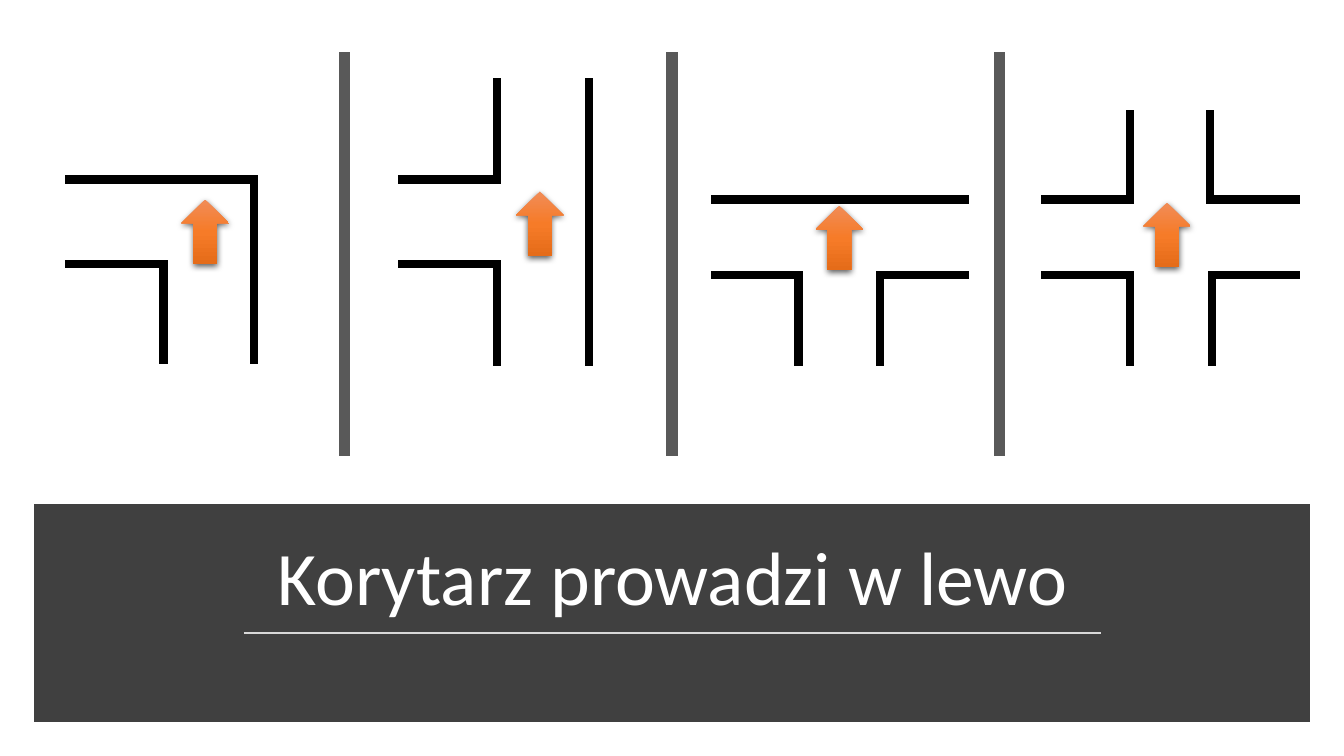
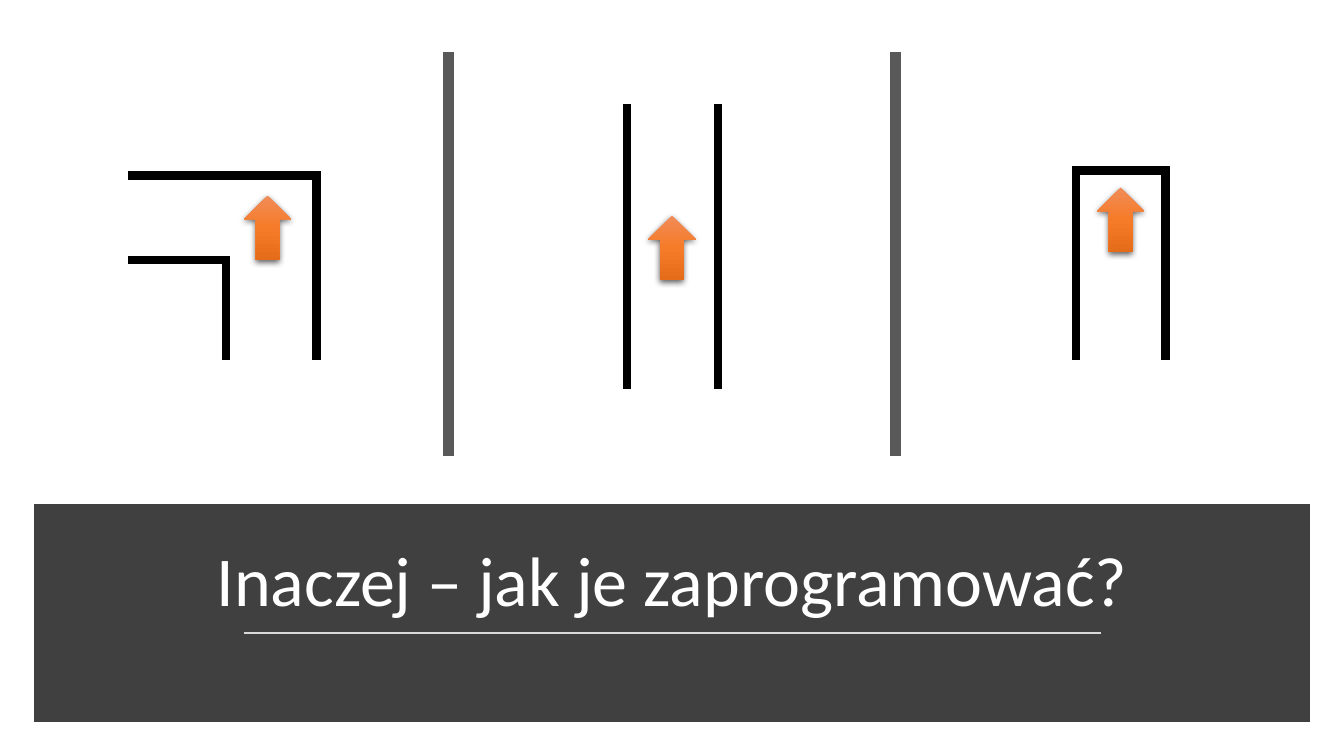
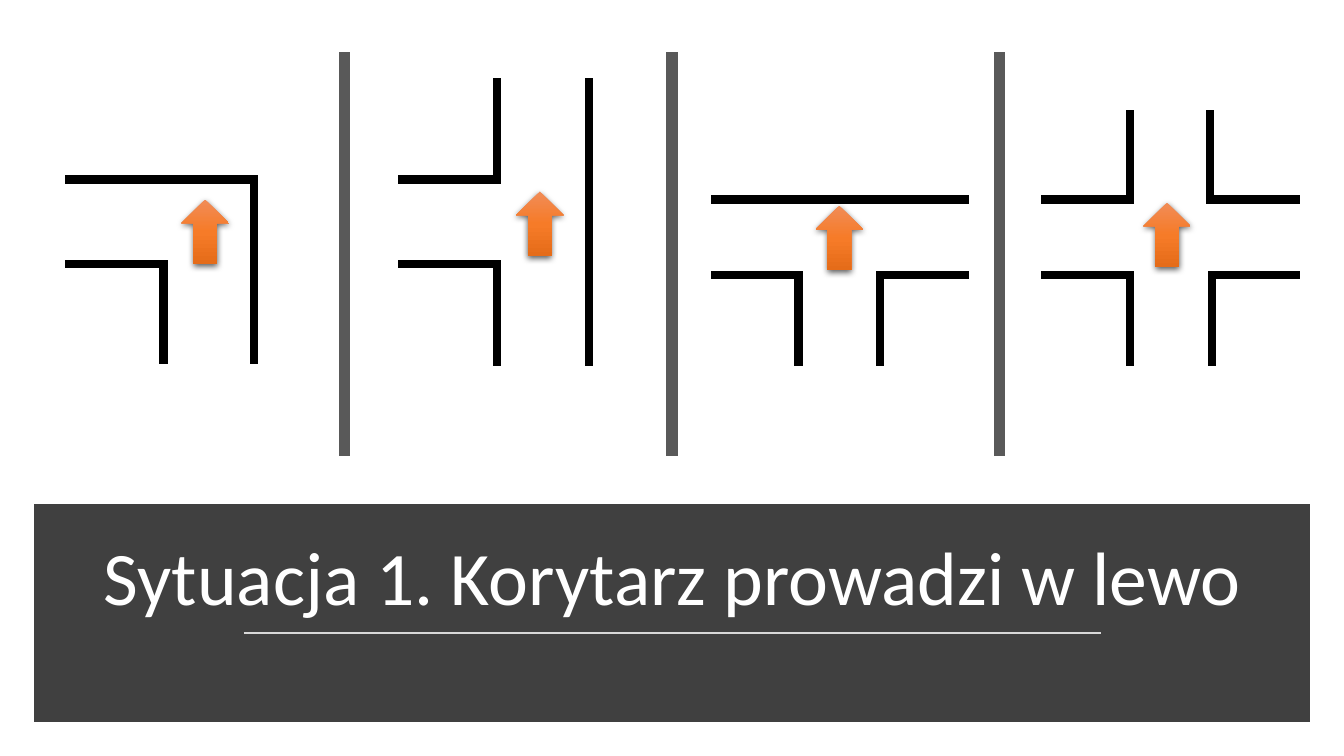
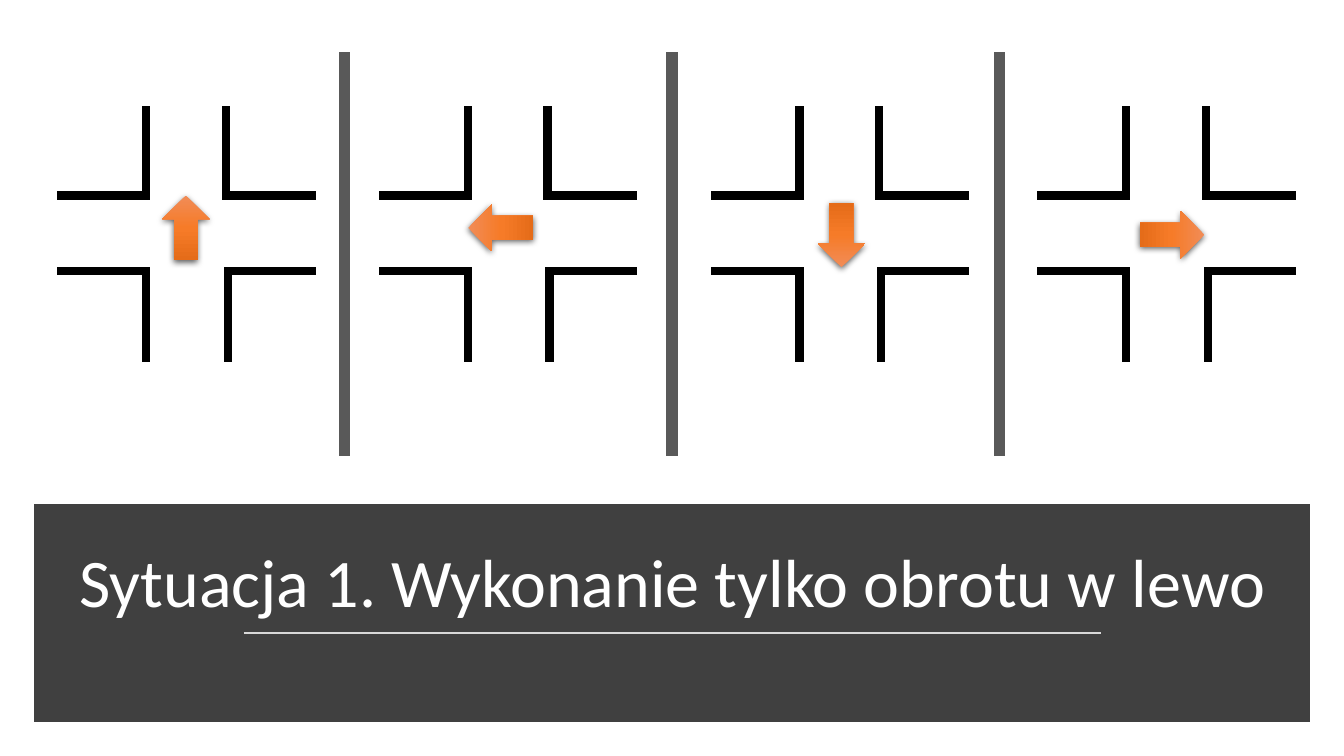
from dataclasses import dataclass
from itertools import pairwise

from pptx import Presentation
from pptx.dml.color import RGBColor
from pptx.enum import shapes, text
from pptx.oxml import parse_xml
from pptx.oxml.ns import nsdecls, qn
from pptx.util import Inches, Pt


@dataclass(frozen=True)
class Theme:
    font: str = "Calibri"
    band: str = "404040"
    rule: str = "D9D9D9"
    divider: str = "595959"
    wall: str = "000000"
    title: str = "FFFFFF"
    arrow: tuple = ((0, "F18C57"), (50, "F67B28"), (100, "E56C19"))
    band_edge: float = 10
    rule_width: float = 1.75
    divider_width: float = 8
    wall_width: float = 6
    title_large: float = 54
    title_medium: float = 50
    title_small: float = 48.6


THEME = Theme()
SLIDE_WIDTH, SLIDE_HEIGHT = 13.33, 7.5
BAND = (0.41, 5.07, 12.51, 2.02)
TITLE_BOX = (0.58, 5.2, 12.18, 1.02)
RULE = ((2.42, 6.28), (10.92, 6.28))
DIVIDER_TOP, DIVIDER_BOTTOM = 0.52, 4.52
PANEL_GAP = {3: 4.44, 4: 3.25}
ARROW_SIZE = (0.47, 0.64)
UP, RIGHT, DOWN, LEFT = 0, 90, 180, 270

JUNCTIONS = {
    "corner": [
        [(1.83, 1.79), (1.83, 0), (0, 0)],
        [(0.93, 1.79), (0.93, 0.84), (0, 0.84)],
    ],
    "left branch": [
        [(1.85, 2.77), (1.85, 0)],
        [(0.94, 0), (0.94, 0.96), (0, 0.96)],
        [(0.94, 2.77), (0.94, 1.8), (0, 1.8)],
    ],
    "fork": [
        [(2.48, 0), (0, 0)],
        [(0.83, 1.61), (0.83, 0.75), (0, 0.75)],
        [(1.64, 1.61), (1.64, 0.75), (2.48, 0.75)],
    ],
    "crossing": [
        [(0.84, 0), (0.84, 0.85), (0, 0.85)],
        [(1.63, 0), (1.63, 0.85), (2.48, 0.85)],
        [(0.84, 2.46), (0.84, 1.6), (0, 1.6)],
        [(1.65, 2.46), (1.65, 1.6), (2.48, 1.6)],
    ],
    "straight": [
        [(0, 2.75), (0, 0)],
        [(0.9, 2.75), (0.9, 0)],
    ],
    "dead end": [
        [(0, 1.84), (0, 0), (0.89, 0), (0.89, 1.84)],
    ],
}

LEFT_WAYS = [
    ("corner", (0.69, 1.78), (1.8, 1.98), UP),
    ("left branch", (3.99, 0.82), (5.12, 1.9), UP),
    ("fork", (7.09, 1.98), (8.09, 2.04), UP),
    ("crossing", (10.37, 1.13), (11.34, 2.01), UP),
]
OTHER_WAYS = [
    ("corner", (1.31, 1.74), (2.42, 1.94), UP),
    ("straight", (6.22, 1.07), (6.43, 2.14), UP),
    ("dead end", (10.67, 1.69), (10.88, 1.86), UP),
]
TURNS = [
    ("crossing", (0.61, 1.09), (1.61, 1.94), UP),
    ("crossing", (3.8, 1.09), (4.73, 1.94), LEFT),
    ("crossing", (7.09, 1.09), (8.11, 2.01), DOWN),
    ("crossing", (10.33, 1.09), (11.39, 2.01), RIGHT),
]
SLIDES = [
    ("Korytarz prowadzi w lewo", THEME.title_large, LEFT_WAYS),
    ("Inaczej – jak je zaprogramować?", THEME.title_medium, OTHER_WAYS),
    ("Sytuacja 1. Korytarz prowadzi w lewo", THEME.title_large, LEFT_WAYS),
    ("Sytuacja 1. Wykonanie tylko obrotu w lewo", THEME.title_small, TURNS),
]


def inches(values):
    return [Inches(value) for value in values]


def set_line(part, color, width):
    part.line.color.rgb = RGBColor.from_string(color)
    part.line.width = Pt(width)
    return part.element.spPr.find(qn("a:ln"))


def add_line(parent, start, end, color, width, cap="flat"):
    line = parent.add_connector(shapes.MSO_CONNECTOR.STRAIGHT, *inches((*start, *end)))
    set_line(line, color, width).set("cap", cap)
    line.element.spPr.append(parse_xml(f'<a:effectLst {nsdecls("a")}/>'))


def add_arrow(parent, corner, turn):
    arrow = parent.add_shape(shapes.MSO_SHAPE.UP_ARROW, *inches((*corner, *ARROW_SIZE)))
    arrow.rotation = turn
    arrow.line.fill.background()
    stops = "".join(
        f'<a:gs pos="{place * 1000}"><a:srgbClr val="{color}"/></a:gs>'
        for place, color in THEME.arrow
    )
    outline = arrow.element.spPr.find(qn("a:ln"))
    outline.addprevious(parse_xml(
        f'<a:gradFill {nsdecls("a")} rotWithShape="1"><a:gsLst>{stops}</a:gsLst>'
        '<a:lin ang="5400000" scaled="0"/></a:gradFill>'
    ))
    outline.addnext(parse_xml(
        f'<a:effectLst {nsdecls("a")}><a:outerShdw blurRad="{Pt(4.5)}" dist="{Pt(1.5)}" '
        'dir="5400000" algn="ctr" rotWithShape="0"><a:srgbClr val="000000">'
        '<a:alpha val="63000"/></a:srgbClr></a:outerShdw></a:effectLst>'
    ))


def add_band(slide):
    band = slide.shapes.add_shape(shapes.MSO_SHAPE.RECTANGLE, *inches(BAND))
    band.shadow.inherit = False
    band.fill.solid()
    band.fill.fore_color.rgb = RGBColor.from_string(THEME.band)
    edge = set_line(band, THEME.band, THEME.band_edge)
    edge.append(parse_xml(f'<a:miter {nsdecls("a")} lim="800000"/>'))
    add_line(slide.shapes, *RULE, THEME.rule, THEME.rule_width)


def add_dividers(slide, panels):
    for index in range(1, panels):
        x = SLIDE_WIDTH / 2 + (index - panels / 2) * PANEL_GAP[panels]
        add_line(slide.shapes, (x, DIVIDER_TOP), (x, DIVIDER_BOTTOM),
                 THEME.divider, THEME.divider_width)


def set_title(slide, wording, size):
    title = slide.shapes.title
    slide.shapes.element.append(title.element)
    title.left, title.top, title.width, title.height = inches(TITLE_BOX)
    frame = title.text_frame
    frame.word_wrap = True
    frame.auto_size = text.MSO_AUTO_SIZE.NONE
    frame.vertical_anchor = text.MSO_ANCHOR.BOTTOM
    paragraph = frame.paragraphs[0]
    paragraph.alignment = text.PP_ALIGN.CENTER
    paragraph.line_spacing = 0.9
    run = paragraph.add_run()
    run.text = wording
    run.font.name = THEME.font
    run.font.size = Pt(size)
    run.font.color.rgb = RGBColor.from_string(THEME.title)


def add_junction(slide, kind, origin, arrow_corner, turn):
    junction = slide.shapes.add_group_shape().shapes
    for wall in JUNCTIONS[kind]:
        points = [(origin[0] + x, origin[1] + y) for x, y in wall]
        for start, end in pairwise(points):
            add_line(junction, start, end, THEME.wall, THEME.wall_width, "sq")
    add_arrow(junction, arrow_corner, turn)


def main():
    deck = Presentation()
    deck.slide_width, deck.slide_height = inches((SLIDE_WIDTH, SLIDE_HEIGHT))
    title_only = deck.slide_layouts[5]
    for wording, size, panels in SLIDES:
        slide = deck.slides.add_slide(title_only)
        add_band(slide)
        add_dividers(slide, len(panels))
        set_title(slide, wording, size)
        for panel in panels:
            add_junction(slide, *panel)
    deck.save("out.pptx")


if __name__ == "__main__":
    main()
